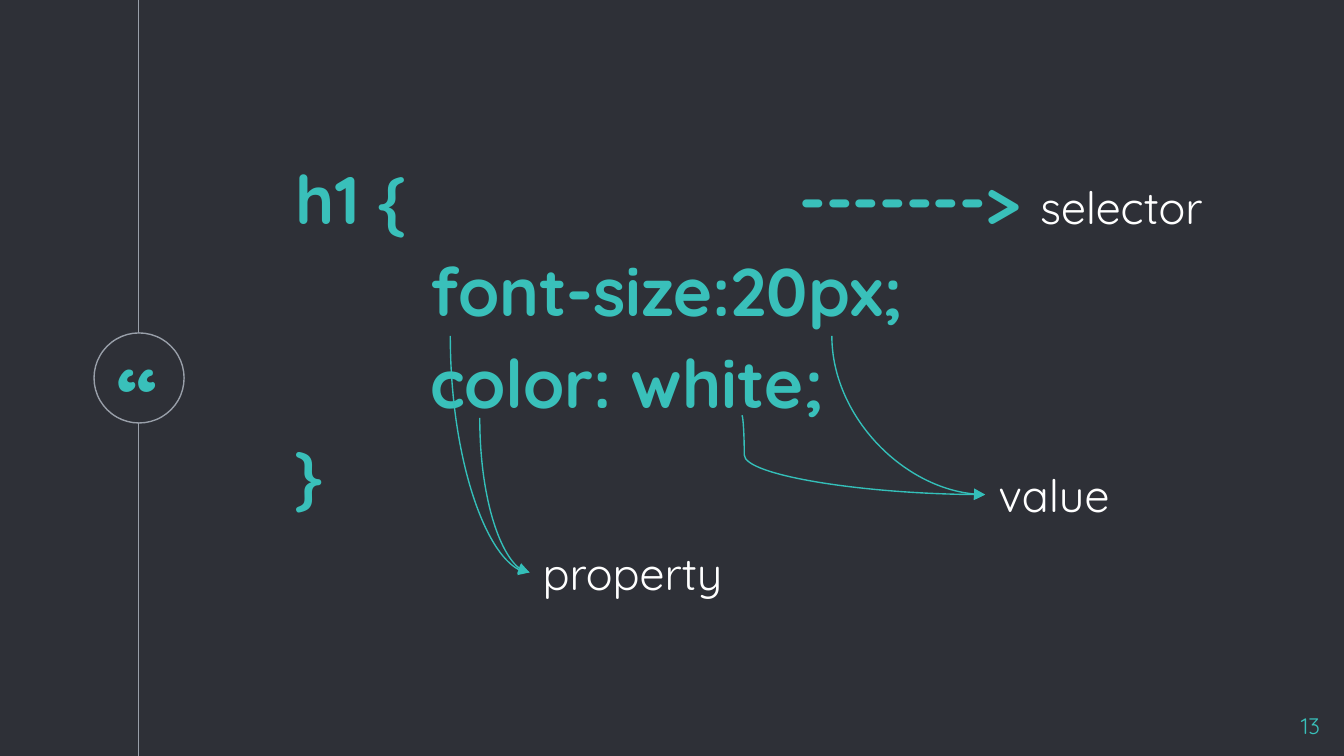
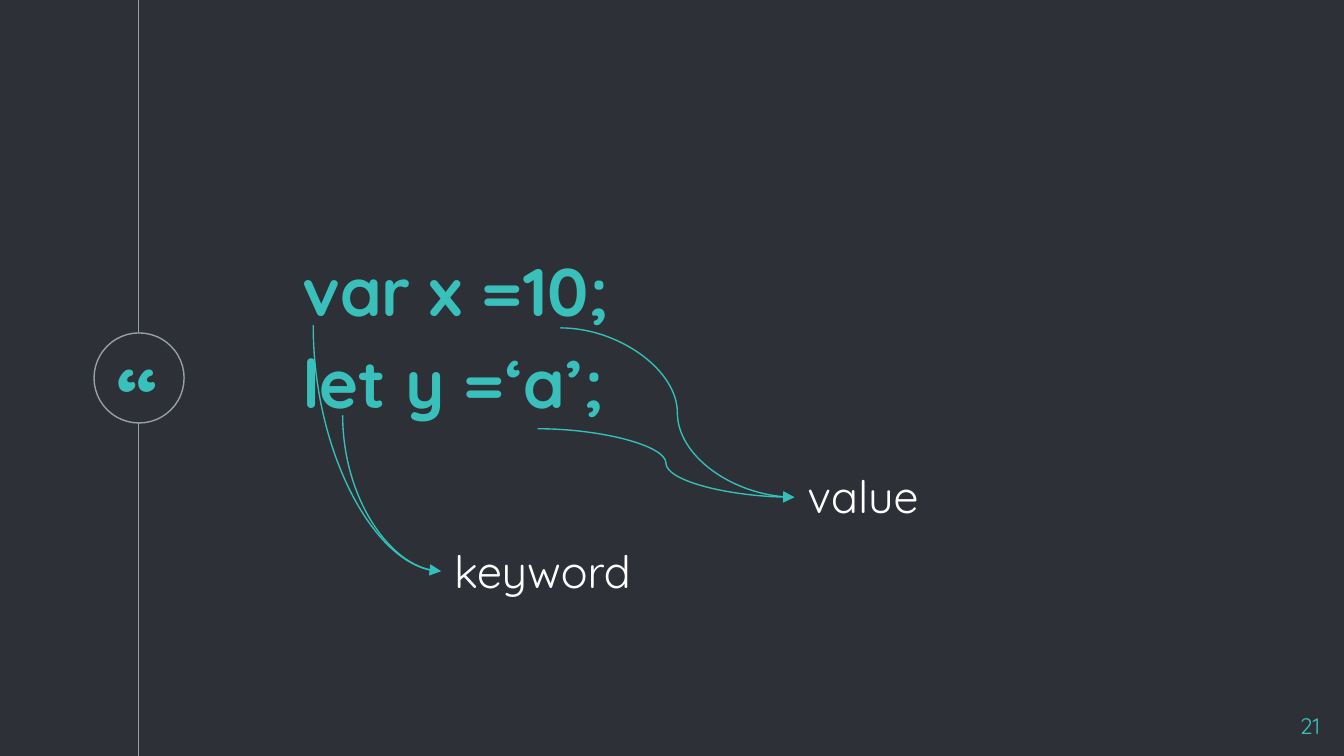
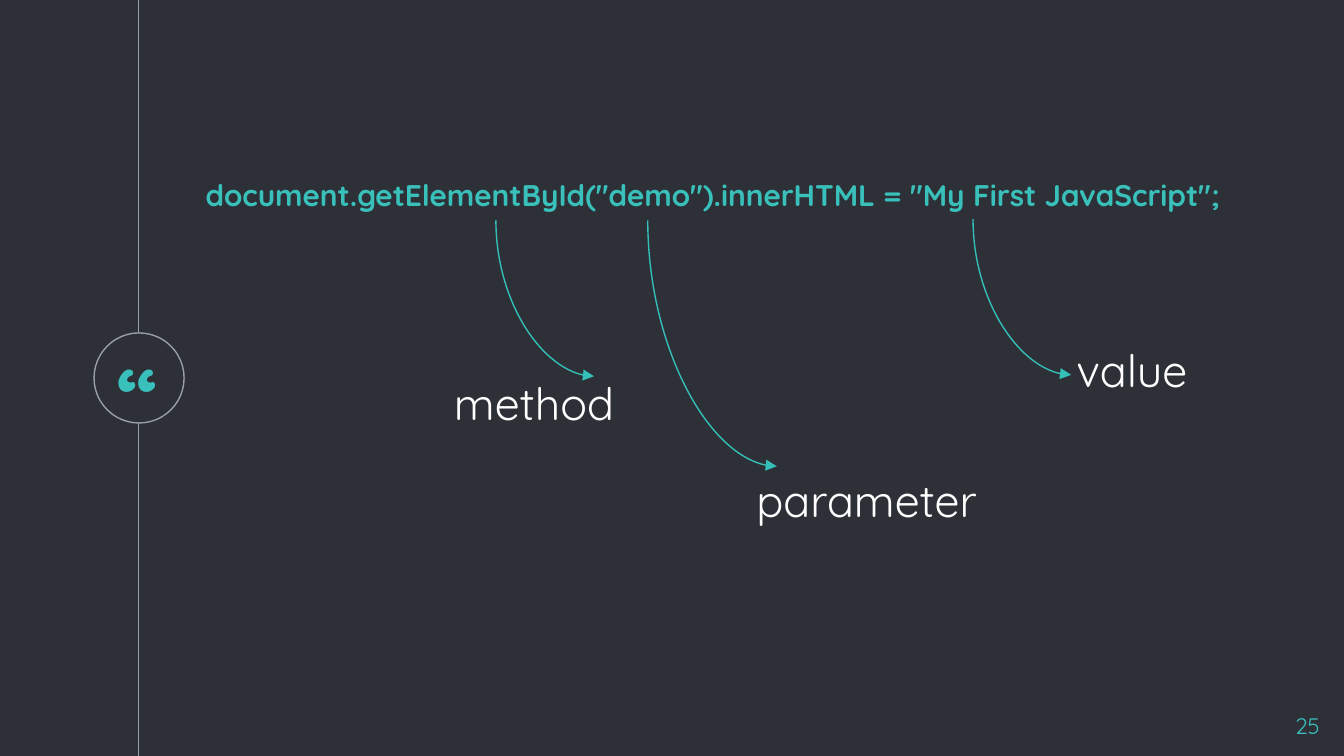
from lxml import etree
from pptx import Presentation
from pptx.dml.color import RGBColor
from pptx.enum.shapes import MSO_CONNECTOR, MSO_SHAPE
from pptx.enum.text import MSO_ANCHOR, MSO_AUTO_SIZE, PP_ALIGN
from pptx.oxml.ns import qn
from pptx.util import Inches, Pt

STRAIGHT, CURVE = MSO_CONNECTOR.STRAIGHT, MSO_CONNECTOR.CURVE
OVAL = MSO_SHAPE.OVAL
MIDDLE = MSO_ANCHOR.MIDDLE
NO_FIT, GROW = MSO_AUTO_SIZE.NONE, MSO_AUTO_SIZE.SHAPE_TO_FIT_TEXT
LEFT, CENTER, RIGHT = PP_ALIGN.LEFT, PP_ALIGN.CENTER, PP_ALIGN.RIGHT

FONT = "Quicksand"
COLORS = {"back": "2E3037", "rule": "999FA9", "code": "39C0BA",
          "arrow": "34BFB9", "label": "FFFFFF"}
WIDTH = 10
HEIGHT = WIDTH * 9 / 16
RULE_X = 1.03
CIRCLE_LEFT, CIRCLE = 0.7, 0.67

# Run styles: size, colour, bold
CODE = (36, "code", True)
SMALL_CODE = (16, "code", True)
REMARK = (24, "label", False)
LEAD = (24, "code", False)

# Line layouts: left indent, distance between tab stops
TABBED = (0.06, 1)
WITH_REMARK = (1.06, 3.75)

# Arrows: start, end, then the bend ratio of an S-curve (None for an arc)
SLIDES = [
    {"number": "13", "body": (1.04, 1.88, 8.39, 1.23),
     "lines": [(WITH_REMARK, [("h1 {\t-------> ", CODE),
                              ("selector", REMARK)]),
               (TABBED, [("\t\tfont-size:20px; ", CODE)]),
               (TABBED, [("\t\tcolor: white;", CODE)]),
               (TABBED, [("\t}", CODE)])],
     "labels": [("property", 3.94, 4.01, 1.56), ("value", 7.33, 3.43, 1.04)],
     "arrows": [((3.35, 2.5), (3.94, 4.26), None),
                ((3.57, 3.11), (3.94, 4.26), None),
                ((6.19, 2.5), (7.33, 3.68), None),
                ((5.52, 3.09), (7.33, 3.68), 0.01)]},
    {"number": "21", "body": (1.09, 1.88, 8.39, 1.23),
     "lines": [(TABBED, [("\tvar x =10;", CODE)]),
               (TABBED, [("\tlet y =‘a’;", CODE)])],
     "labels": [("keyword", 3.28, 4, 1.55), ("value", 5.91, 3.44, 1.04)],
     "arrows": [((2.33, 2.42), (3.28, 4.25), None),
                ((2.55, 3.09), (3.28, 4.25), None),
                ((4.17, 2.44), (5.91, 3.7), 0.5),
                ((4, 3.19), (5.91, 3.7), 0.5)]},
    {"number": "25", "body": (0.37, 0.79, 9.38, 1.23),
     "lines": [(TABBED, [("\t", LEAD),
                         ('document.getElementById("demo").innerHTML = '
                          '"My First JavaScript";', SMALL_CODE)])],
     "labels": [("parameter", 5.53, 3.47, 1.87), ("value", 7.91, 2.5, 1.04),
                ("method", 3.28, 2.75, 1.4)],
     "arrows": [((4.82, 1.64), (5.78, 3.47), None),
                ((3.69, 1.64), (4.42, 2.8), None),
                ((7.24, 1.63), (7.97, 2.79), None)]},
]


def rgb(name):
    """Return the named colour."""
    return RGBColor.from_string(COLORS[name])


def set_font(font, size, color, bold=False):
    """Apply the deck font with a size, colour and weight."""
    font.name, font.size, font.bold = FONT, Pt(size), bold
    font.color.rgb = rgb(color)


def set_insets(tf, inset=0.1):
    """Give a text frame equal insets on all sides."""
    tf.margin_left = tf.margin_right = Inches(inset)
    tf.margin_top = tf.margin_bottom = Inches(inset)


def add_text(slide, text, box, size, color, bold=False, align=LEFT):
    """Add a one-paragraph text box and return its text frame."""
    tf = slide.shapes.add_textbox(*map(Inches, box)).text_frame
    tf.word_wrap = True
    p = tf.paragraphs[0]
    p.text, p.alignment = text, align
    set_font(p.font, size, color, bold)
    return tf


def add_line(slide, kind, start, end, color):
    """Add a thin connector without a shadow."""
    line = slide.shapes.add_connector(kind, *map(Inches, (*start, *end)))
    line.line.color.rgb, line.line.width = rgb(color), Pt(0.75)
    etree.SubElement(line.element.spPr, qn("a:effectLst"))
    return line


def add_arrow(slide, start, end, bend):
    """Add a curved arrow: an S-curve with a bend, else an arc going down."""
    if bend is None:
        # The arc is a quarter turn of a box with width and height swapped.
        (x1, y1), (x2, y2) = start, end
        cx, cy = (x1 + x2) / 2, (y1 + y2) / 2
        dx, dy = (x2 - x1) / 2, (y2 - y1) / 2
        start, end = (cx - dy, cy - dx), (cx + dy, cy + dx)
    sp_pr = add_line(slide, CURVE, start, end, "arrow").element.spPr
    geometry = sp_pr.find(qn("a:prstGeom"))
    if bend is None:
        geometry.set("prst", "curvedConnector2")
        xfrm = sp_pr.find(qn("a:xfrm"))
        xfrm.set("rot", str(270 * 60000))
        xfrm.set("flipH", "1")
    else:
        guides = geometry.find(qn("a:avLst"))
        if guides is None:
            guides = etree.SubElement(geometry, qn("a:avLst"))
        etree.SubElement(guides, qn("a:gd"), name="adj1",
                         fmla=f"val {round(bend * 100000)}")
    etree.SubElement(sp_pr.find(qn("a:ln")), qn("a:tailEnd"), type="triangle")


def add_decor(slide, layout):
    """Draw the rule, circle and quote mark, and move them to the layout."""
    rule = add_line(slide, STRAIGHT, (RULE_X, 0), (RULE_X, HEIGHT), "rule")
    top = (HEIGHT - CIRCLE) / 2
    circle = slide.shapes.add_shape(
        OVAL, *map(Inches, (CIRCLE_LEFT, top, CIRCLE, CIRCLE)))
    circle.shadow.inherit = False
    circle.fill.solid()
    circle.fill.fore_color.rgb = rgb("back")
    circle.line.color.rgb, circle.line.width = rgb("rule"), Pt(0.75)
    quote = add_text(slide, "“", (0.31, 2.45, 1.43, 0.71), 48, "code",
                     True, CENTER)
    set_insets(quote)
    tree = layout.shapes.element
    for sp in (rule, circle, slide.shapes[-1]):
        tree.append(sp.element)
    for number, props in enumerate(tree.iter(qn("p:cNvPr")), 1):
        props.set("id", str(number))


def fill_body(sp, box, lines):
    """Place the body placeholder and write the code lines into it."""
    sp.left, sp.top, sp.width, sp.height = map(Inches, box)
    tf = sp.text_frame
    tf.word_wrap, tf.auto_size, tf.vertical_anchor = True, NO_FIT, MIDDLE
    set_insets(tf)
    for i, ((indent, tab), runs) in enumerate(lines):
        p = tf.paragraphs[0] if i == 0 else tf.add_paragraph()
        p.space_before, p.alignment = Pt(6), LEFT
        props = p._p.get_or_add_pPr()
        props.set("marL", str(Inches(indent)))
        props.set("indent", "0")
        props.set("defTabSz", str(Inches(tab)))
        etree.SubElement(props, qn("a:buNone"))
        for text, style in runs:
            r = p.add_run()
            r.text = text
            set_font(r.font, *style)


def main():
    """Build and save the deck."""
    prs = Presentation()
    prs.slide_width, prs.slide_height = Inches(WIDTH), Inches(HEIGHT)
    fill = prs.slide_master.background.fill
    fill.solid()
    fill.fore_color.rgb = rgb("back")

    layout = prs.slide_layouts[1]
    for sp in list(layout.placeholders):
        if sp.placeholder_format.idx != 1:
            layout.shapes.element.remove(sp.element)

    for i, content in enumerate(SLIDES):
        slide = prs.slides.add_slide(layout)
        if i == 0:
            add_decor(slide, layout)
        number = add_text(slide, content["number"], (9.32, 5.2, 0.6, 0.34),
                          12, "code", align=RIGHT)
        set_insets(number)
        fill_body(slide.placeholders[1], content["body"], content["lines"])
        for text, x, y, width in content["labels"]:
            tf = add_text(slide, text, (x, y, width, 0.5), 24, "label")
            tf.word_wrap, tf.auto_size = False, GROW
        for arrow in content["arrows"]:
            add_arrow(slide, *arrow)
    prs.save("out.pptx")


main()
